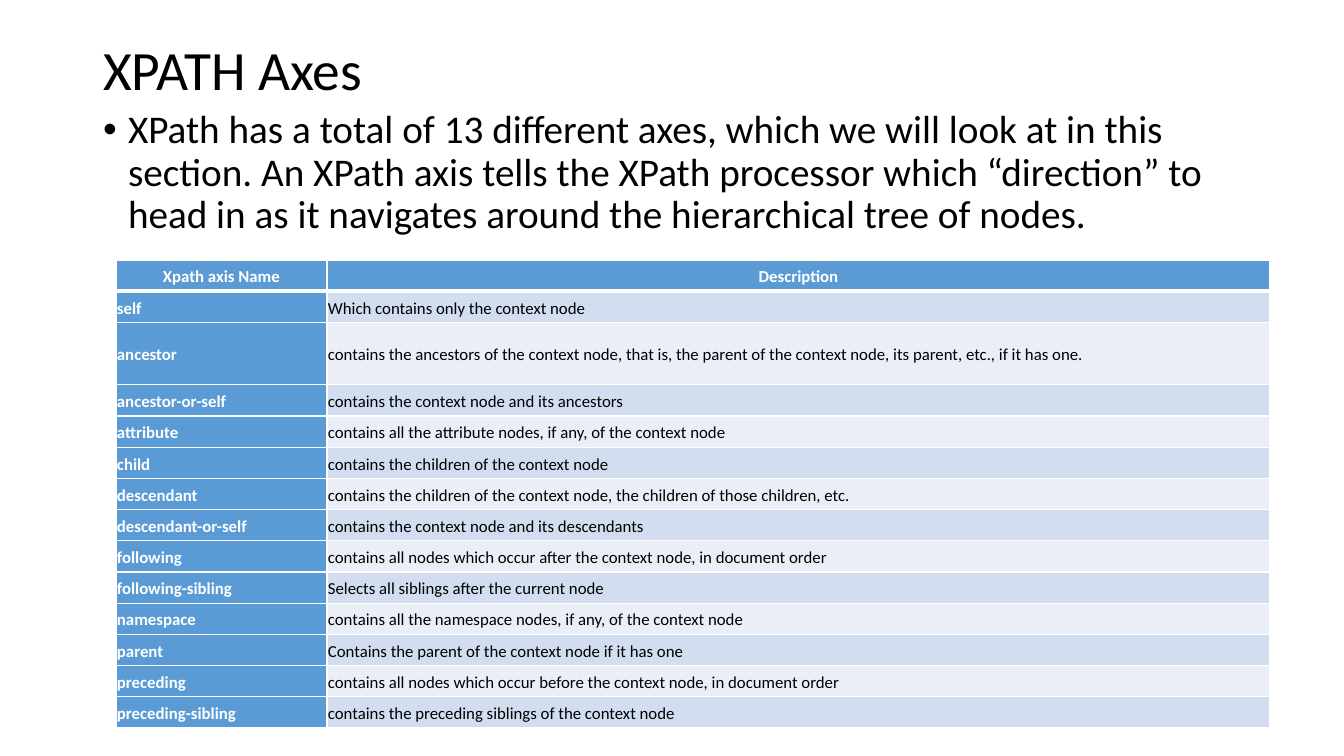
from lxml.etree import SubElement as Sub
from pptx import Presentation
from pptx.dml.color import RGBColor as RGB
from pptx.enum.text import MSO_ANCHOR as Anchor, MSO_AUTO_SIZE as Auto, PP_ALIGN as Align
from pptx.oxml.ns import qn
from pptx.util import Pt

PX = 914400 / 100.8
FONT = "Calibri"
HUES = {"text": "000000", "white": "FFFFFF", "head": "5B9BD5",
        "odd": "D2DEEF", "even": "EAEFF7"}
INTRO = ("XPath has a total of 13 different axes, which we will look at in this section. "
         "An XPath axis tells the XPath processor which “direction” to head in as it "
         "navigates around the hierarchical tree of nodes.")
AXES = [
    ("Xpath axis Name", "Description"),
    ("self", "Which contains only the context node"),
    ("ancestor", "contains the ancestors of the context node, that is, the parent of "
                 "the context node, its parent, etc., if it has one."),
    ("ancestor-or-self", "contains the context node and its ancestors"),
    ("attribute", "contains all the attribute nodes, if any, of the context node"),
    ("child", "contains the children of the context node"),
    ("descendant", "contains the children of the context node, the children of those children, etc."),
    ("descendant-or-self", "contains the context node and its descendants"),
    ("following", "contains all nodes which occur after the context node, in document order"),
    ("following-sibling", "Selects all siblings after the current node"),
    ("namespace", "contains all the namespace nodes, if any, of the context node"),
    ("parent", "Contains the parent of the context node if it has one"),
    ("preceding", "contains all nodes which occur before the context node, in document order"),
    ("preceding-sibling", "contains the preceding siblings of the context node"),
]


def px(n):
    return round(n * PX)


def write(frame, text, size, hue, lead, bold=False, align=Align.LEFT):
    frame.text = text
    para = frame.paragraphs[0]
    para.alignment, para.line_spacing = align, lead
    para.space_before = Pt(0)
    font = para.runs[0].font
    font.name, font.size, font.bold = FONT, Pt(size), bold
    font.color.rgb = RGB.from_string(HUES[hue])
    return para


def place(shape, box):
    shape.left, shape.top, shape.width, shape.height = map(px, box)
    frame = shape.text_frame
    frame.word_wrap, frame.auto_size = True, Auto.NONE
    return frame


def add_title(slide, box):
    frame = place(slide.shapes.title, box)
    frame.vertical_anchor = Anchor.MIDDLE
    write(frame, "XPATH Axes", 39.6, "text", 0.9)


def add_intro(slide, box):
    frame = place(slide.placeholders[1], box)
    frame.vertical_anchor = Anchor.TOP
    para = write(frame, INTRO, 28, "text", 0.9)
    para.space_before = Pt(10)
    props = para._p.get_or_add_pPr()
    props.set("marL", str(px(25)))
    props.set("indent", str(-px(25)))
    Sub(props, qn("a:buFont"), typeface="Arial")
    Sub(props, qn("a:buChar"), char="•")


def edge(cell, tag, width):
    line = Sub(cell._tc.get_or_add_tcPr(), qn(tag), w=str(Pt(width)))
    Sub(Sub(line, qn("a:solidFill")), qn("a:srgbClr"), val=HUES["white"])


def style(cell, text, row, col):
    head = row == 0
    label = head or col == 0
    edges = {"a:lnL": 1, "a:lnR": 1, "a:lnT": 3 if row == 1 else 1, "a:lnB": 3 if head else 1}
    for tag, width in edges.items():
        edge(cell, tag, width)
    cell.fill.solid()
    fill = "head" if label else "odd" if row % 2 else "even"
    cell.fill.fore_color.rgb = RGB.from_string(HUES[fill])
    cell.margin_left = cell.margin_right = cell.margin_top = cell.margin_bottom = px(1)
    cell.vertical_anchor = Anchor.MIDDLE
    write(cell.text_frame, text, 12, "white" if label else "text", 1.15,
          label, Align.CENTER if head else Align.LEFT)


def add_axes(slide, box):
    left, top, width, height = box
    table = slide.shapes.add_table(len(AXES), 2, *map(px, box)).table
    first = 211
    table.columns[0].width = px(first)
    table.columns[1].width = px(width - first)
    unit = height / (len(AXES) + 1)
    for row, texts in enumerate(AXES):
        table.rows[row].height = px(unit * (2 if texts[0] == "ancestor" else 1))
        for col, text in enumerate(texts):
            style(table.cell(row, col), text, row, col)


deck = Presentation()
deck.slide_width, deck.slide_height = px(1344), px(756)
slide = deck.slides.add_slide(deck.slide_layouts[1])
add_title(slide, (93, 40, 1159, 65))
add_intro(slide, (93, 105, 1159, 576))
add_axes(slide, (116, 260, 1154, 468))
deck.save("out.pptx")
